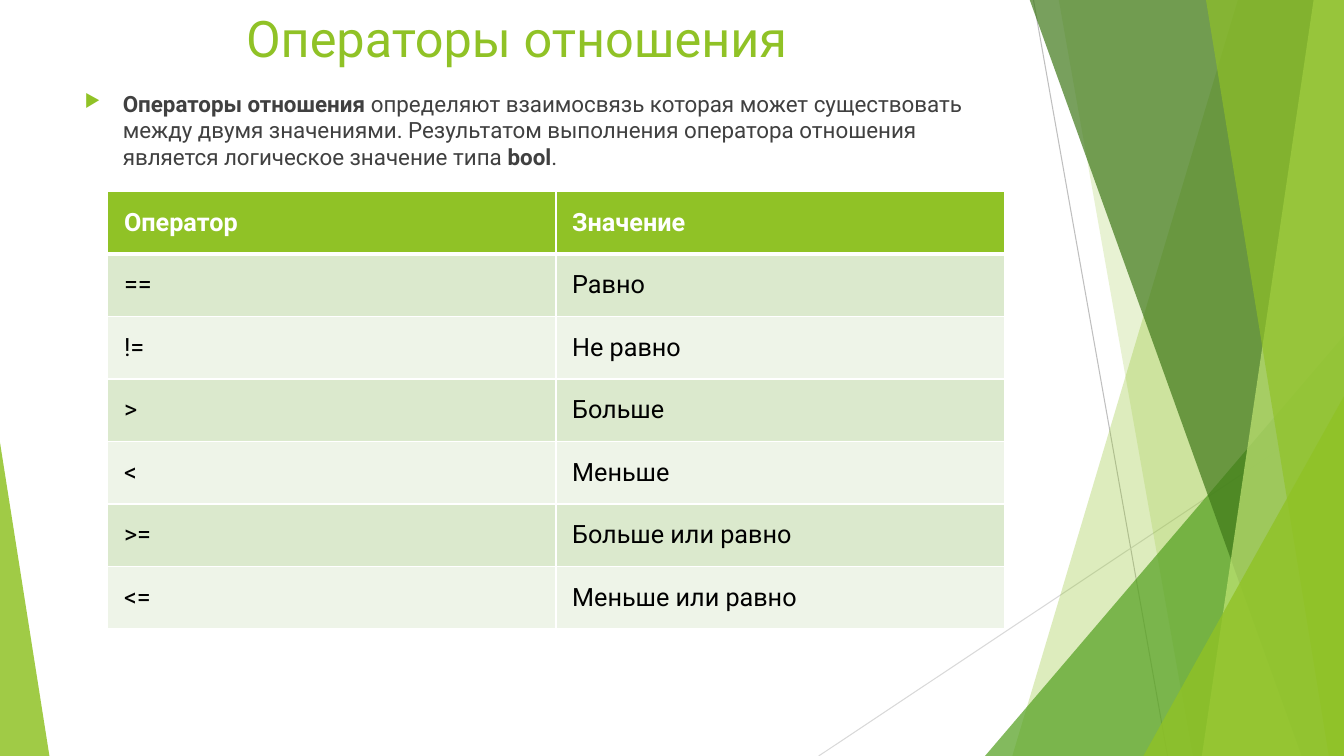
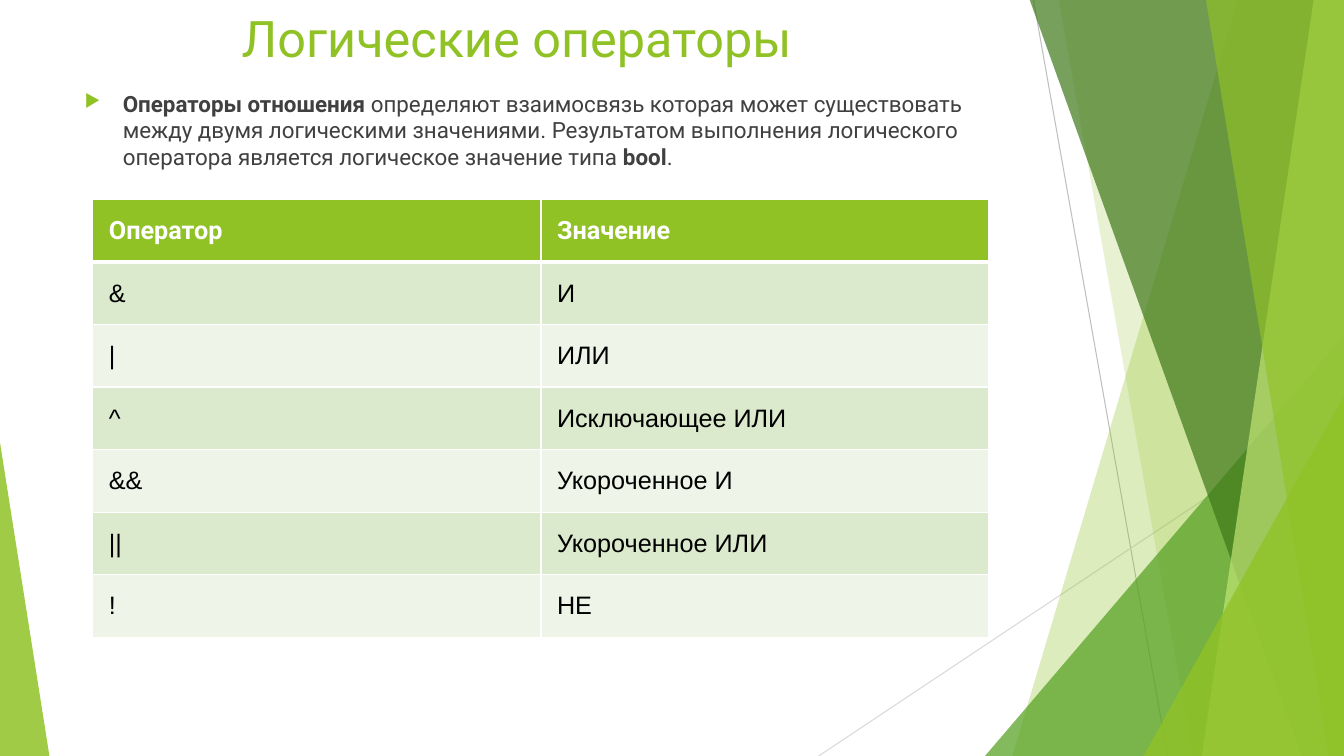
from dataclasses import dataclass

from lxml.etree import SubElement
from pptx import Presentation
from pptx.dml.color import RGBColor
from pptx.enum.shapes import MSO_CONNECTOR, MSO_SHAPE
from pptx.enum.text import MSO_ANCHOR, PP_ALIGN
from pptx.oxml.ns import qn
from pptx.util import Inches, Pt


@dataclass(frozen=True)
class Theme:
    lime: str = "90C226"
    pale_lime: str = "C0E474"
    green: str = "54A021"
    dark_green: str = "3F7819"
    body_text: str = "404040"
    cell_text: str = "000000"
    white: str = "FFFFFF"
    row_odd: str = "DBE9CD"
    row_even: str = "EEF4E8"
    steep_line: str = "BFBFBF"
    flat_line: str = "D9D9D9"
    font: str = "Roboto"
    title_size: int = 36
    body_size: int = 16
    table_size: int = 18


@dataclass(frozen=True)
class Box:
    left: float
    top: float
    width: float
    height: float

    def place(self):
        return [Inches(v) for v in (self.left, self.top, self.width, self.height)]

    def point(self, x, y):
        return Inches(self.left + x), Inches(self.top + y)


THEME = Theme()
PAGE = Box(0, 0, 13.33, 7.5)
TITLE = Box(0, 0, 10.25, 0.75)
DEFINITION = Box(0.74, 0.84, 9.4, 6.35)
BLEED = -0.01
CELL_INSET = 0.16

# Rays run from the top edge to the bottom edge and fill up to the right edge:
# top x, bottom x, colour, opacity
BACK_RAYS = [(12.28, 10.04, THEME.lime, 30), (10.5, 11.83, THEME.lime, 20)]
FRONT_RAYS = [
    (10.21, 12.91, THEME.dark_green, 70),
    (13.03, 11.92, THEME.pale_lime, 70),
    (11.96, 13.18, THEME.lime, 65),
]


# Shared styling
def fill_shape(shape, colour, opacity):
    shape.shadow.inherit = False
    shape.line.fill.background()
    shape.fill.solid()
    shape.fill.fore_color.rgb = RGBColor.from_string(colour)
    tint = shape.fill._xPr.find(qn("a:solidFill"))[0]
    SubElement(tint, qn("a:alpha"), val=str(opacity * 1000))


def add_run(paragraph, text, size, colour, bold=False, font=THEME.font):
    run = paragraph.add_run()
    run.text = text
    run.font.name = font
    run.font.size = Pt(size)
    run.font.bold = bold
    run.font.color.rgb = RGBColor.from_string(colour)


def add_paragraph_box(slide, box, anchor):
    frame = slide.shapes.add_textbox(*box.place()).text_frame
    frame.word_wrap = True
    frame.vertical_anchor = anchor
    return frame.paragraphs[0]


# Background of rays, corners and thin lines
def add_thin_line(slide, box, start, end, colour):
    line = slide.shapes.add_connector(
        MSO_CONNECTOR.STRAIGHT, *box.point(*start), *box.point(*end))
    line.line.color.rgb = RGBColor.from_string(colour)
    line.line.width = Pt(0.75)
    SubElement(line._element.spPr, qn("a:effectLst"))


def add_ray(slide, box, top_x, bottom_x, colour, opacity):
    outline = slide.shapes.build_freeform(*box.point(top_x, BLEED))
    corners = [(box.width, BLEED), (box.width, box.height), (bottom_x, box.height)]
    outline.add_line_segments([box.point(*corner) for corner in corners], close=True)
    fill_shape(outline.convert_to_shape(), colour, opacity)


def add_corner(slide, box, left, top, width, peak, colour, opacity):
    corner = Box(box.left + left, box.top + top, width, box.height - top)
    triangle = slide.shapes.add_shape(MSO_SHAPE.ISOSCELES_TRIANGLE, *corner.place())
    triangle.adjustments[0] = peak
    fill_shape(triangle, colour, opacity)


def add_background(slide, box):
    add_thin_line(slide, box, (10.25, 0), (11.58, box.height), THEME.steep_line)
    add_thin_line(slide, box, (box.width, 4.03), (8.12, box.height), THEME.flat_line)
    for ray in BACK_RAYS:
        add_ray(slide, box, *ray)
    add_corner(slide, box, 9.77, 3.33, 3.56, 1, THEME.green, 72)
    for ray in FRONT_RAYS:
        add_ray(slide, box, *ray)
    add_corner(slide, box, 11.34, 3.93, 1.99, 1, THEME.lime, 80)
    add_corner(slide, box, 0, 4.39, 0.49, 0, THEME.lime, 85)


# Title and definition
def add_title(slide, box, text):
    title = add_paragraph_box(slide, box, MSO_ANCHOR.MIDDLE)
    title.alignment = PP_ALIGN.CENTER
    add_run(title, text, THEME.title_size, THEME.lime)


def add_definition(slide, box, parts):
    definition = add_paragraph_box(slide, box, MSO_ANCHOR.TOP)
    definition.space_before = Pt(10)
    properties = definition._p.get_or_add_pPr()
    indent = Inches(0.38)
    properties.set("marL", str(indent))
    properties.set("indent", str(-indent))
    bullet_colour = SubElement(properties, qn("a:buClr"))
    SubElement(bullet_colour, qn("a:srgbClr"), val=THEME.lime)
    SubElement(properties, qn("a:buSzPct"), val="80000")
    SubElement(properties, qn("a:buChar"), char="▶")
    for text, bold in parts:
        add_run(definition, text, THEME.body_size, THEME.body_text, bold)


# Operator table
def set_borders(cell, row):
    widths = {"L": 1, "R": 1, "T": 3 if row == 1 else 1, "B": 3 if row == 0 else 1}
    properties = cell._tc.get_or_add_tcPr()
    for side, width in widths.items():
        border = SubElement(properties, qn(f"a:ln{side}"), w=str(Pt(width)))
        paint = SubElement(border, qn("a:solidFill"))
        SubElement(paint, qn("a:srgbClr"), val=THEME.white)


def add_cell(cell, row, text, body_font):
    is_header = row == 0
    cell.margin_left = cell.margin_right = Inches(CELL_INSET)
    cell.margin_top = cell.margin_bottom = Inches(CELL_INSET)
    cell.vertical_anchor = MSO_ANCHOR.MIDDLE
    set_borders(cell, row)
    band = THEME.row_odd if row % 2 else THEME.row_even
    cell.fill.solid()
    cell.fill.fore_color.rgb = RGBColor.from_string(THEME.lime if is_header else band)
    add_run(cell.text_frame.paragraphs[0], text, THEME.table_size,
            THEME.white if is_header else THEME.cell_text, is_header,
            THEME.font if is_header else body_font)


def add_operator_table(slide, box, operators, body_font):
    rows = [("Оператор", "Значение"), *operators]
    table = slide.shapes.add_table(len(rows), 2, *box.place()).table
    for row, texts in enumerate(rows):
        # Rows grow to fit their text and insets
        table.rows[row].height = Inches(0.41)
        for column, text in enumerate(texts):
            add_cell(table.cell(row, column), row, text, body_font)


def add_operator_slide(deck, title, definition, table_box, operators, body_font):
    slide = deck.slides.add_slide(deck.slide_layouts[6])
    add_background(slide, PAGE)
    add_title(slide, TITLE, title)
    add_definition(slide, DEFINITION, definition)
    add_operator_table(slide, table_box, operators, body_font)


def definition_parts(explanation):
    return [("Операторы отношения ", True), (explanation, False),
            ("bool", True), (".", False)]


def main():
    deck = Presentation()
    deck.slide_width, deck.slide_height = Inches(PAGE.width), Inches(PAGE.height)

    add_operator_slide(
        deck,
        "Операторы отношения",
        definition_parts(
            "определяют взаимосвязь которая может существовать между двумя "
            "значениями. Результатом выполнения оператора отношения является "
            "логическое значение типа "),
        Box(1.07, 1.9, 8.89, 4.29),
        [("==", "Равно"), ("!=", "Не равно"), (">", "Больше"), ("<", "Меньше"),
         (">=", "Больше или равно"), ("<=", "Меньше или равно")],
        THEME.font,
    )
    add_operator_slide(
        deck,
        "Логические операторы",
        definition_parts(
            "определяют взаимосвязь которая может существовать между двумя "
            "логическими значениями. Результатом выполнения логического оператора "
            "является логическое значение типа "),
        Box(0.92, 1.98, 8.89, 4.29),
        [("&", "И"), ("|", "ИЛИ"), ("^", "Исключающее ИЛИ"),
         ("&&", "Укороченное И"), ("||", "Укороченное ИЛИ"), ("!", "НЕ")],
        "Arial",
    )
    deck.save("out.pptx")


if __name__ == "__main__":
    main()
